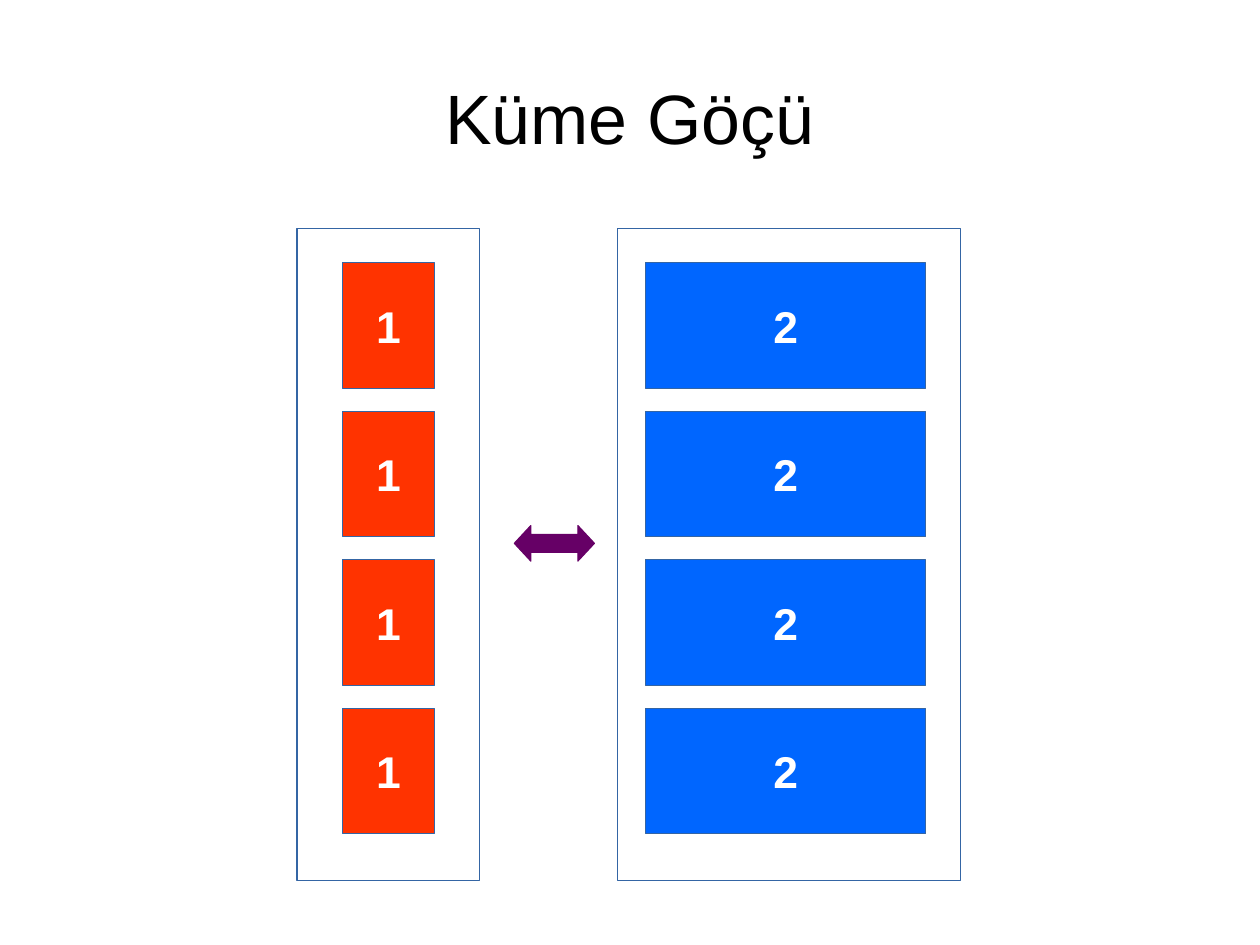
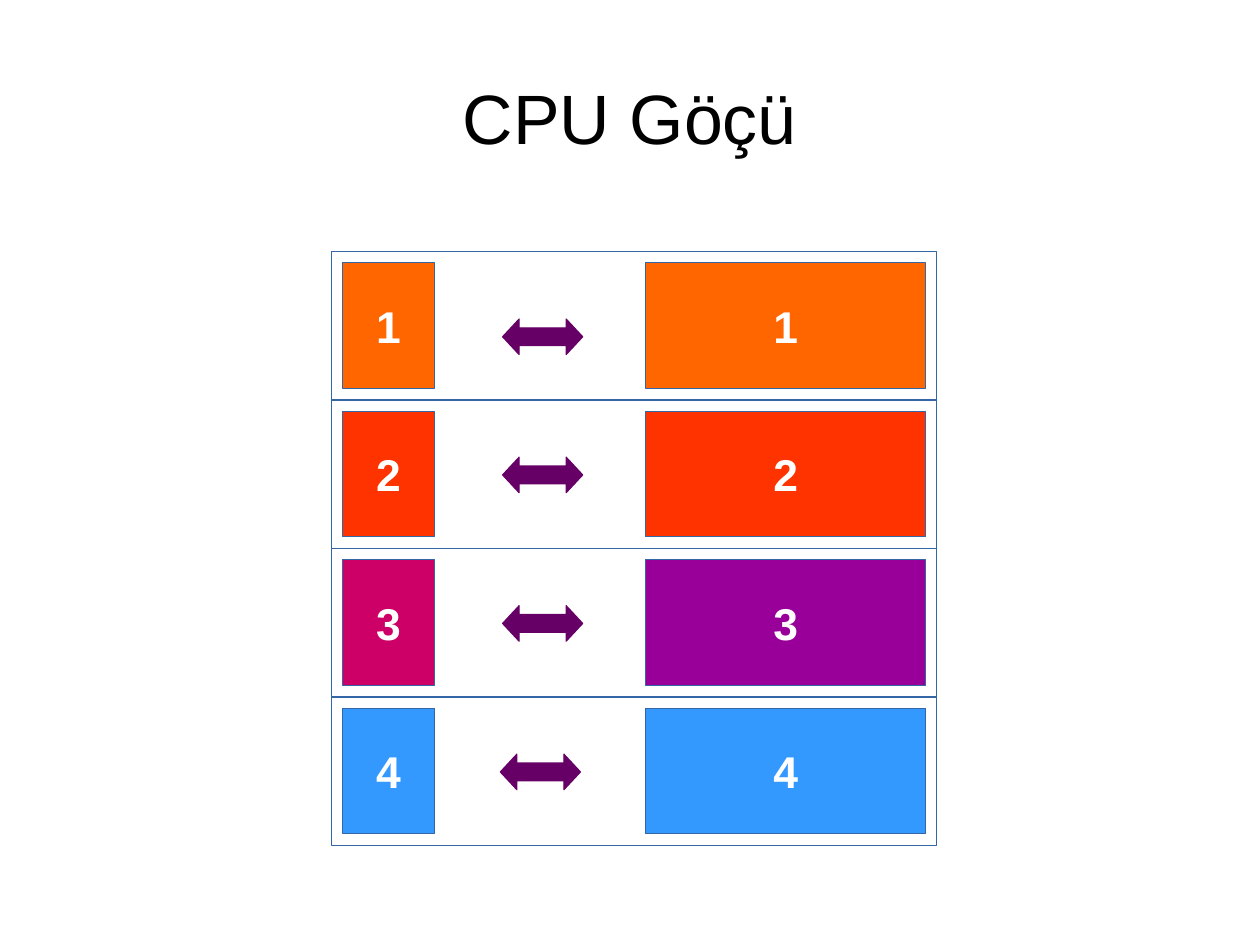
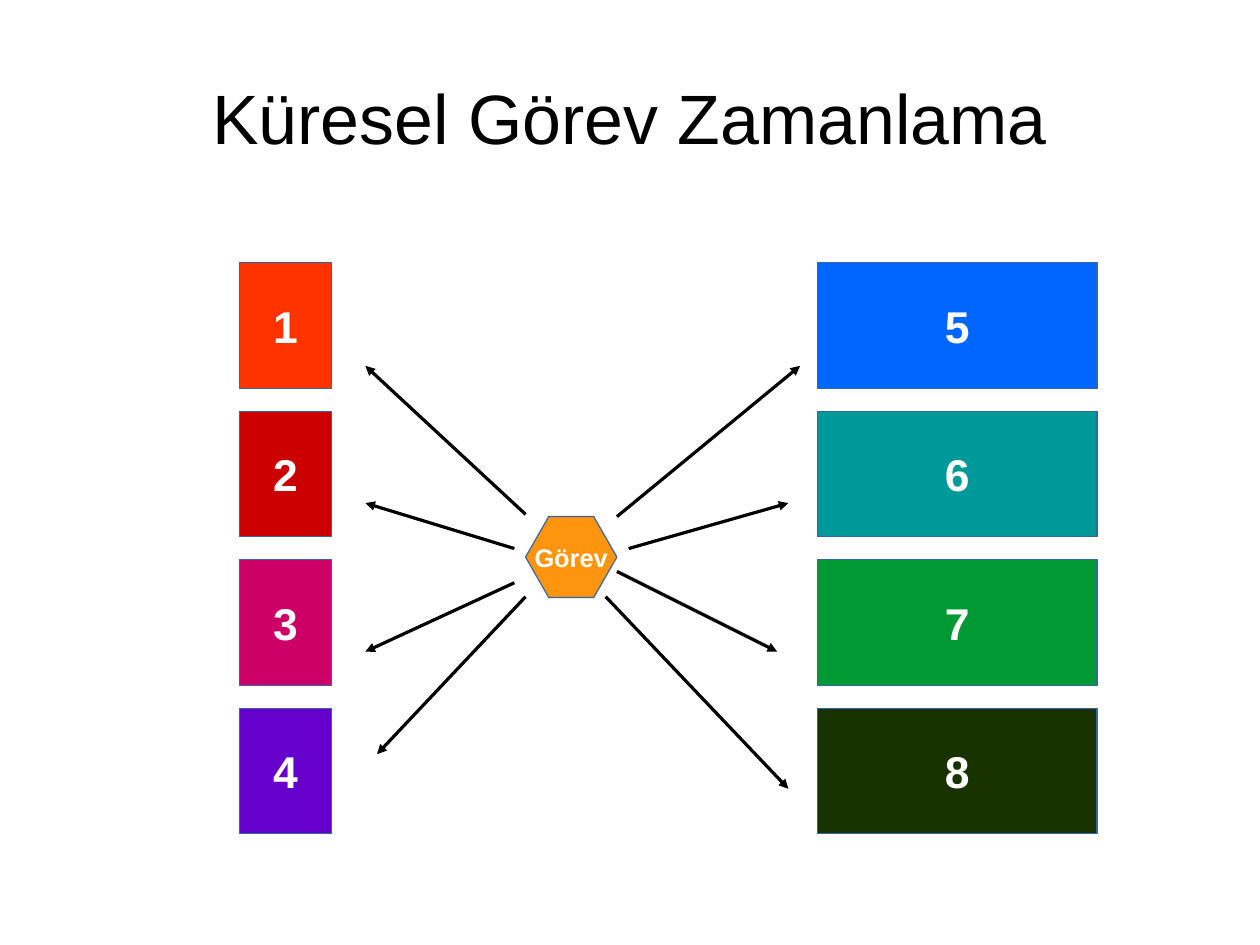
from lxml import etree
from pptx import Presentation
from pptx import util as u
from pptx.dml.color import RGBColor
from pptx.enum import shapes, text
from pptx.oxml.ns import qn

Kind = shapes.MSO_SHAPE
FONT = "Arial"
COLOURS = {
    "black": "000000", "white": "FFFFFF", "outline": "3465A4",
    "arrow": "660066", "task": "FF950E", "orange": "FF6600",
    "red": "FF3300", "crimson": "CC0000", "pink": "CC0066",
    "violet": "6600CC", "purple": "990099", "sky": "3399FF",
    "blue": "0066FF", "teal": "009999", "green": "009933",
    "forest": "193300",
}

# Lengths in centimetres
NARROW, WIDE = 2.03, 6.22
BLOCK_HEIGHT, PITCH = 2.79, 3.3
BLOCKS_TOP = 5.84
NARROW_LEFT, WIDE_LEFT = 7.62, 14.35
HUB_WIDTH, HUB_HEIGHT = 2.03, 1.8


def colour(name):
    return RGBColor.from_string(COLOURS[name])


def write(frame, words, size, ink, bold=False):
    frame.vertical_anchor = text.MSO_ANCHOR.MIDDLE
    para = frame.paragraphs[0]
    para.text = words
    para.alignment = text.PP_ALIGN.CENTER
    para.font.name = FONT
    para.font.size = u.Pt(size)
    para.font.bold = bold
    para.font.color.rgb = colour(ink)


def add_box(page, kind, left, top, width, height, fill=None, line="outline"):
    """Add a flat shape with a hairline; without a fill it is see-through."""
    box = page.shapes.add_shape(kind, *map(u.Cm, (left, top, width, height)))
    box.shadow.inherit = False
    if fill:
        box.fill.solid()
        box.fill.fore_color.rgb = colour(fill)
    else:
        box.fill.background()
    box.line.color.rgb = colour(line)
    box.line.width = 0
    return box


def add_label_box(page, kind, words, size, *place, fill):
    box = add_box(page, kind, *place, fill=fill)
    box.text_frame.word_wrap = False
    write(box.text_frame, words, size, "white", bold=True)
    return box


def add_block_column(page, left, top, width, blocks):
    """Stack (label, fill) blocks downwards at equal steps."""
    for row, (label, fill) in enumerate(blocks):
        add_label_box(page, Kind.RECTANGLE, label, 28, left, top + row * PITCH,
                      width, BLOCK_HEIGHT, fill=fill)


def add_double_arrow(page, left, top):
    arrow = add_box(page, Kind.LEFT_RIGHT_ARROW, left, top, 1.78, 0.79,
                    fill="arrow", line="arrow")
    arrow.adjustments[0] = 0.5
    arrow.adjustments[1] = 0.465


def add_pointer(page, start, end):
    line = page.shapes.add_connector(shapes.MSO_CONNECTOR.STRAIGHT,
                                     *map(u.Cm, (*start, *end)))
    line.line.color.rgb = colour("black")
    line.line.width = 0
    properties = line._element.spPr
    etree.SubElement(properties.find(qn("a:ln")), qn("a:tailEnd"), type="triangle")
    etree.SubElement(properties, qn("a:effectLst"))


def add_task_hub(page, left, top):
    """Place the task hexagon and the pointers fanning out from it."""
    hexagon = add_label_box(page, Kind.HEXAGON, "Görev", 16, left, top,
                            HUB_WIDTH, HUB_HEIGHT, fill="task")
    hexagon.adjustments[0] = 0.286
    pointers = [
        ((0, -0.05), (-3.56, -3.35)),
        ((-0.25, 0.71), (-3.56, -0.3)),
        ((-0.25, 1.47), (-3.56, 3)),
        ((0, 1.78), (-3.3, 5.28)),
        ((2.03, 0), (6.1, -3.35)),
        ((2.29, 0.71), (5.84, -0.3)),
        ((2.03, 1.22), (5.59, 3)),
        ((1.78, 1.78), (5.84, 6.05)),
    ]
    for ends in pointers:
        add_pointer(page, *((left + x, top + y) for x, y in ends))


def add_page(deck, title):
    page = deck.slides.add_slide(deck.slide_layouts[6])
    box = page.shapes.add_textbox(*map(u.Cm, (1.4, 0.84, 25.2, 3.5)))
    frame = box.text_frame
    frame.word_wrap = True
    frame.margin_left = frame.margin_right = 0
    frame.margin_top = frame.margin_bottom = 0
    write(frame, title, 44, "black")
    return page


def add_cluster_page(deck):
    page = add_page(deck, "Küme Göçü")
    for left, width in ((6.6, 4.06), (13.72, 7.62)):
        add_box(page, Kind.RECTANGLE, left, 5.08, width, 14.48, fill="white")
    add_block_column(page, NARROW_LEFT, BLOCKS_TOP, NARROW, [("1", "red")] * 4)
    add_block_column(page, WIDE_LEFT, BLOCKS_TOP, WIDE, [("2", "blue")] * 4)
    add_double_arrow(page, 11.43, 11.68)


def add_cpu_page(deck):
    page = add_page(deck, "CPU Göçü")
    margin = 0.25
    frame_left, frame_top = NARROW_LEFT - margin, BLOCKS_TOP - margin
    frame_width = WIDE_LEFT + WIDE + margin - frame_left
    arrow_offsets = [(3.8, 1.5), (3.8, 1.27), (3.8, 1.27), (3.75, 1.27)]
    for row, (across, down) in enumerate(arrow_offsets):
        top = frame_top + row * PITCH
        add_box(page, Kind.RECTANGLE, frame_left, top, frame_width, PITCH)
        add_double_arrow(page, frame_left + across, top + down)
    add_block_column(page, NARROW_LEFT, BLOCKS_TOP, NARROW,
                     zip("1234", ("orange", "red", "pink", "sky")))
    add_block_column(page, WIDE_LEFT, BLOCKS_TOP, WIDE,
                     zip("1234", ("orange", "red", "purple", "sky")))


def add_global_page(deck):
    page = add_page(deck, "Küresel Görev Zamanlama")
    add_block_column(page, 5.33, BLOCKS_TOP, NARROW,
                     zip("1234", ("red", "crimson", "pink", "violet")))
    add_block_column(page, 18.16, BLOCKS_TOP, WIDE,
                     zip("5678", ("blue", "teal", "green", "forest")))
    add_task_hub(page, 11.68, 11.48)


def main():
    deck = Presentation()
    deck.slide_width, deck.slide_height = u.Cm(28), u.Cm(21)
    add_cluster_page(deck)
    add_cpu_page(deck)
    add_global_page(deck)
    deck.save("out.pptx")


if __name__ == "__main__":
    main()
